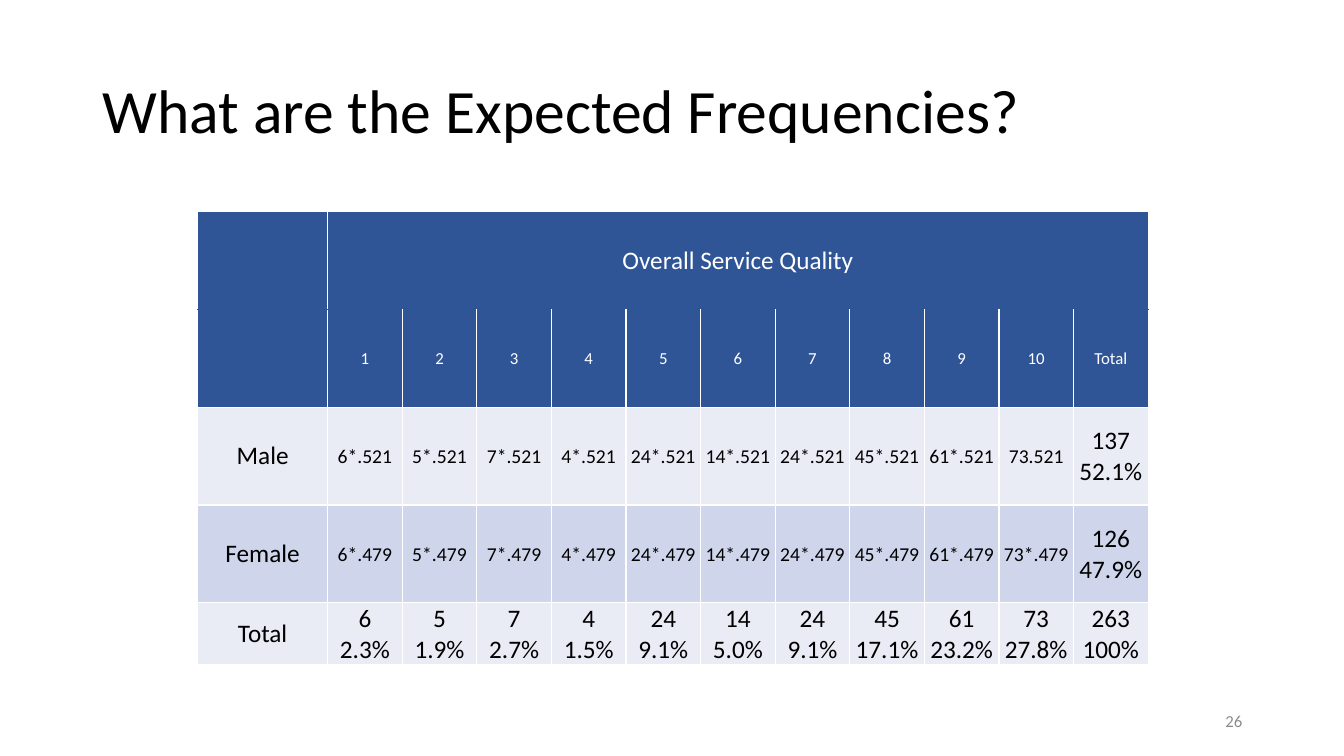
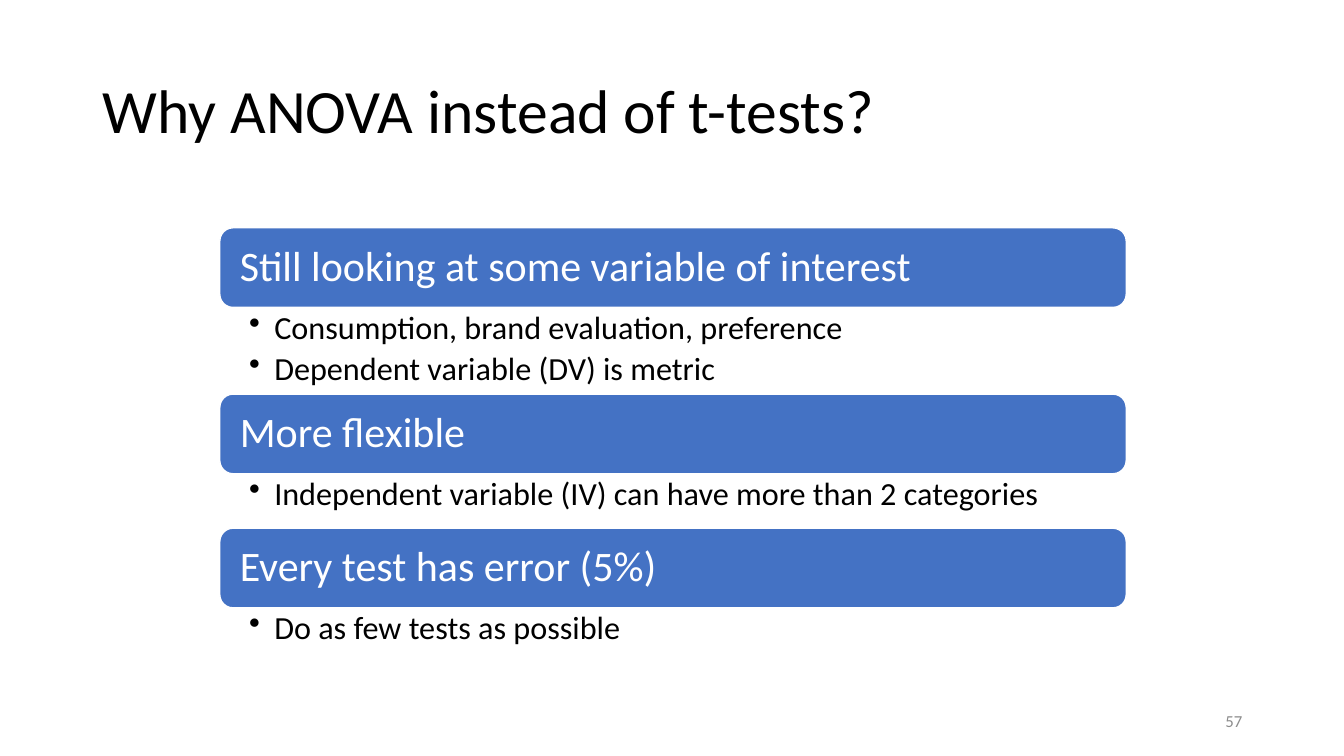
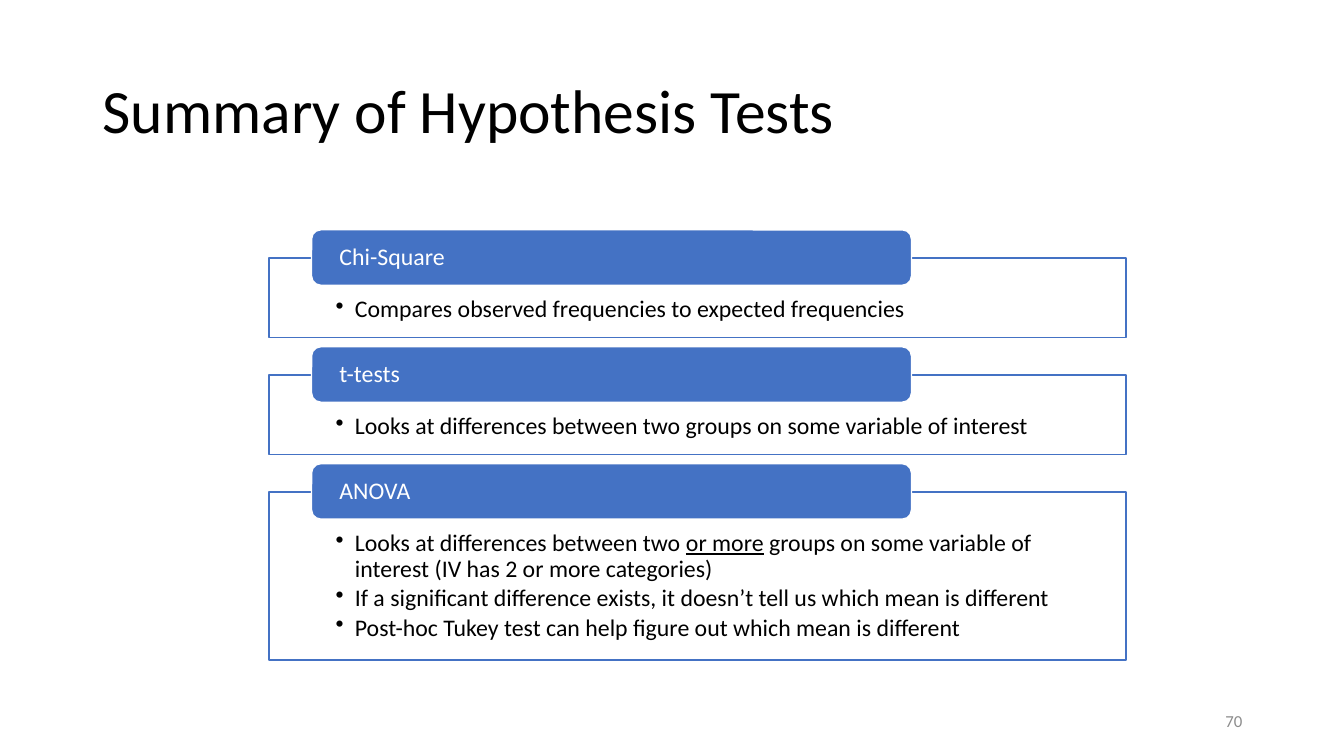
from pptx import Presentation
from pptx.dml.color import RGBColor
from pptx.enum.shapes import MSO_SHAPE
from pptx.enum.text import MSO_ANCHOR, PP_ALIGN
from pptx.oxml.ns import qn
from pptx.util import Pt
from lxml import etree

PX = 9144  # 100 px to the inch
FONT = "Calibri"
COLORS = {
    "white": "FFFFFF", "black": "000000", "gray": "8C8C8C",
    "blue": "4472C4", "navy": "2F5597", "pale": "E9EBF5", "mist": "CFD5EA",
}
LEFT, CENTER, RIGHT = PP_ALIGN.LEFT, PP_ALIGN.CENTER, PP_ALIGN.RIGHT
TOP, MIDDLE = MSO_ANCHOR.TOP, MSO_ANCHOR.MIDDLE
RECT, ROUND = MSO_SHAPE.RECTANGLE, MSO_SHAPE.ROUNDED_RECTANGLE
INSET = (10, 5, 10, 5)

# Slide content; in a tuple of strings every second one is underlined
COUNTS = [6, 5, 7, 4, 24, 14, 24, 45, 61, 73]
SHARES = ["2.3%", "1.9%", "2.7%", "1.5%", "9.1%", "5.0%", "9.1%", "17.1%",
          "23.2%", "27.8%"]
HEADS = [str(n) for n in range(1, 11)] + ["Total"]
MALE = [f"{n}*.521" for n in COUNTS[:-1]] + ["73.521"]
FEMALE = [f"{n}*.479" for n in COUNTS]
TOTALS = [[str(n), share] for n, share in zip(COUNTS, SHARES)]
GRID = [
    ["", "Overall Service Quality"] + [""] * 10,
    [""] + HEADS,
    ["Male"] + MALE + [["137", "52.1%"]],
    ["Female"] + FEMALE + [["126", "47.9%"]],
    ["Total"] + TOTALS + [["263", "100%"]],
]
WIDTHS = [129] + [74] * 11
HEIGHTS = [97] * 4 + [41]
FILLS = ["navy", "navy", "pale", "mist", "pale"]

REASONS = [
    ("Still looking at some variable of interest",
     ["Consumption, brand evaluation, preference",
      "Dependent variable (DV) is metric"]),
    ("More flexible",
     ["Independent variable (IV) can have more than 2 categories"]),
    ("Every test has error (5%)", ["Do as few tests as possible"]),
]
TESTS = [
    ("Chi-Square", 79,
     ["Compares observed frequencies to expected frequencies"]),
    ("t-tests", 79,
     ["Looks at differences between two groups on some variable of interest"]),
    ("ANOVA", 167,
     [("Looks at differences between two ", "or more",
       " groups on some variable of interest (IV has 2 or more categories)"),
      "If a significant difference exists, it doesn’t tell us which mean is"
      " different",
      "Post-hoc Tukey test can help figure out which mean is different"]),
]


def rgb(name):
    return RGBColor.from_string(COLORS[name])


def write(frame, paras, size=18, color="black", align=LEFT, line=1.0,
          hang=0, after=0):
    """Fill a text frame; hang is the bullet indent in px, after a share of size."""
    for i, parts in enumerate(paras):
        para = frame.paragraphs[0] if i == 0 else frame.add_paragraph()
        if hang:
            props = para._p.get_or_add_pPr()
            props.set("marL", str(hang * PX))
            props.set("indent", str(-hang * PX))
            etree.SubElement(props, qn("a:buChar")).set("char", "•")
            para.level = 1
        para.alignment = align
        para.line_spacing = line
        para.space_after = Pt(size * after)
        for j, part in enumerate([parts] if isinstance(parts, str) else parts):
            run = para.add_run()
            run.text = part
            font = run.font
            font.name, font.size = FONT, Pt(size)
            font.color.rgb = rgb(color)
            if j % 2:
                font.underline = True


def pad(owner, inset):
    """Set the margins of a text frame or a table cell."""
    (owner.margin_left, owner.margin_top,
     owner.margin_right, owner.margin_bottom) = [n * PX for n in inset]


def label(slide, box, paras, kind=None, fill="white", edge="white",
          inset=INSET, anchor=MIDDLE, **style):
    """Add a text box, or a filled shape of the given kind, holding text."""
    spot = [n * PX for n in box]
    if kind is None:
        shape = slide.shapes.add_textbox(*spot)
    else:
        shape = slide.shapes.add_shape(kind, *spot)
        shape.shadow.inherit = False
        shape.fill.solid()
        shape.fill.fore_color.rgb = rgb(fill)
        shape.line.color.rgb = rgb(edge)
        shape.line.width = Pt(1)
    frame = shape.text_frame
    frame.word_wrap = True
    frame.vertical_anchor = anchor
    pad(frame, inset)
    write(frame, paras, **style)


def start(deck, title, number):
    slide = deck.slides.add_slide(deck.slide_layouts[6])
    label(slide, (92, 40, 1150, 145), [title], size=44, line=0.9)
    label(slide, (942, 695, 300, 40), [number], size=12, color="gray",
          align=RIGHT)
    return slide


def border(cell, sides):
    props = cell._tc.get_or_add_tcPr()
    for side, color in sides.items():
        line = etree.SubElement(props, qn("a:ln" + side), w=str(Pt(1)))
        solid = etree.SubElement(line, qn("a:solidFill"))
        etree.SubElement(solid, qn("a:srgbClr"), val=COLORS[color])


def draw_grid(slide):
    spot = [n * PX for n in (196, 210, 945, 447)]
    table = slide.shapes.add_table(len(GRID), len(WIDTHS), *spot).table
    table.first_row = table.horz_banding = False
    for col, width in zip(table.columns, WIDTHS):
        col.width = width * PX
    for r, row in enumerate(GRID):
        table.rows[r].height = HEIGHTS[r] * PX
        for c, value in enumerate(row):
            cell = table.cell(r, c)
            border(cell, {"L": "white", "R": "white",
                          "T": "navy" if r == 1 else "white",
                          "B": "navy" if r == 0 else "white"})
            cell.fill.solid()
            cell.fill.fore_color.rgb = rgb(FILLS[r])
            cell.vertical_anchor = MIDDLE
            if r > 1 and c:
                pad(cell, (1, 1, 1, 0))
            if not value:
                continue
            size = 18
            if r == 1:
                size = 12
            elif r > 1 and c and isinstance(value, str):
                size = 14
            write(cell.text_frame, [value] if isinstance(value, str) else value,
                  size=size, color="white" if r < 2 else "black", align=CENTER)
    table.cell(0, 1).merge(table.cell(0, len(WIDTHS) - 1))


def draw_reasons(slide):
    left, top, width, bar = 218, 226, 899, 79
    for head, points in REASONS:
        label(slide, (left, top, width, bar), [head], ROUND, "blue",
              inset=(16, 12, 16, 12), size=30, color="white", line=0.9)
        top += bar
        height = 54 + 32 * (len(points) - 1)
        label(slide, (left, top, width, height), points, anchor=TOP,
              inset=(29, 4, 23, 4), size=23, line=0.9, hang=25, after=0.2)
        top += height


def draw_tests(slide):
    left, top, gap = 267, 256, 37
    for head, height, points in TESTS:
        label(slide, (left, top, 850, height), points, RECT, edge="blue",
              anchor=TOP, inset=(66, 39, 66, 13), size=17, line=0.9, hang=19,
              after=0.15)
        label(slide, (left + 42, top - 28, 595, 55), [head], ROUND, "blue",
              inset=(25, 3, 25, 3), size=17, color="white", line=0.9)
        top += height + gap


def main():
    deck = Presentation()
    deck.slide_width, deck.slide_height = 1333 * PX, 750 * PX
    draw_grid(start(deck, "What are the Expected Frequencies?", "26"))
    draw_reasons(start(deck, "Why ANOVA instead of t-tests?", "57"))
    draw_tests(start(deck, "Summary of Hypothesis Tests", "70"))
    deck.save("out.pptx")


if __name__ == "__main__":
    main()
